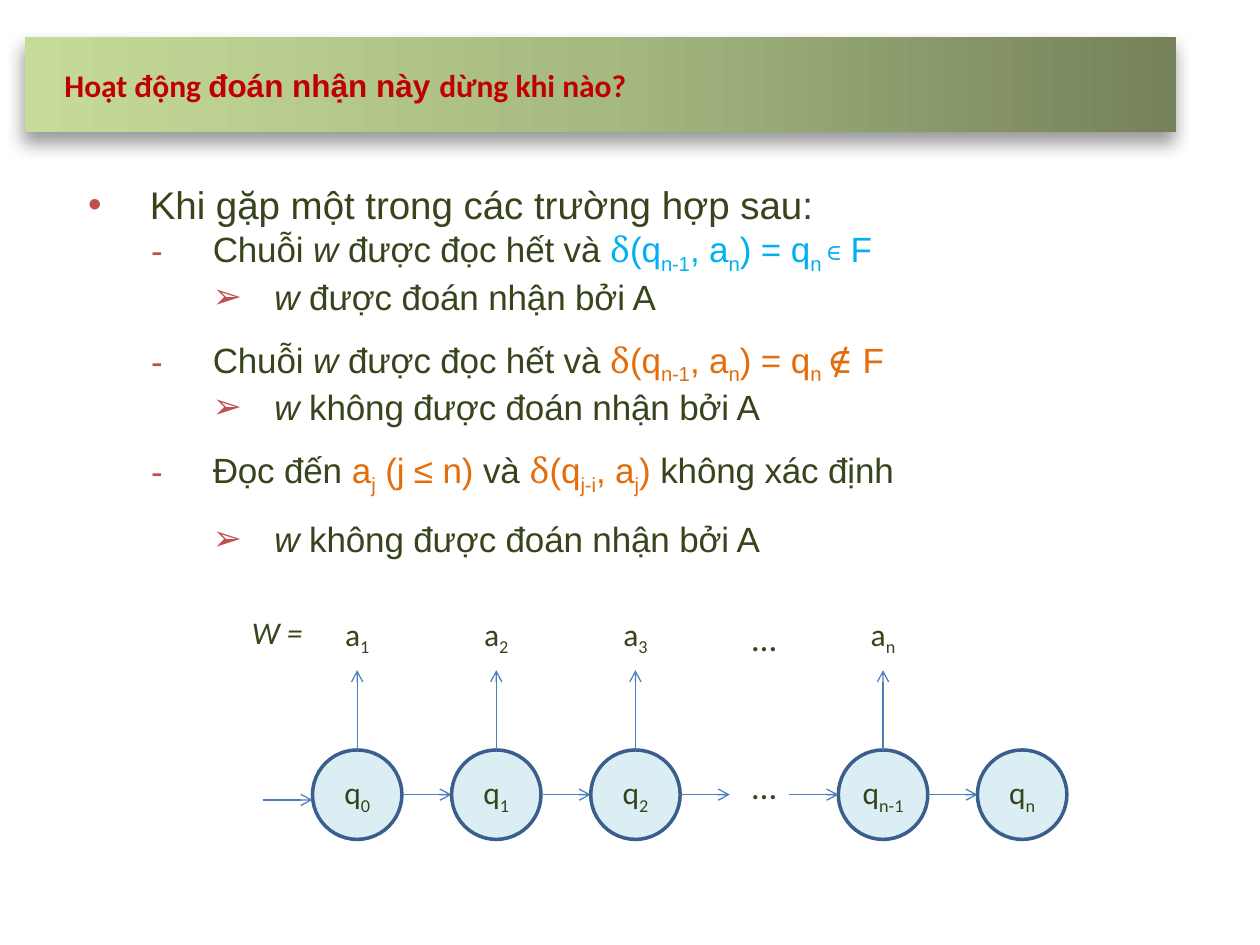
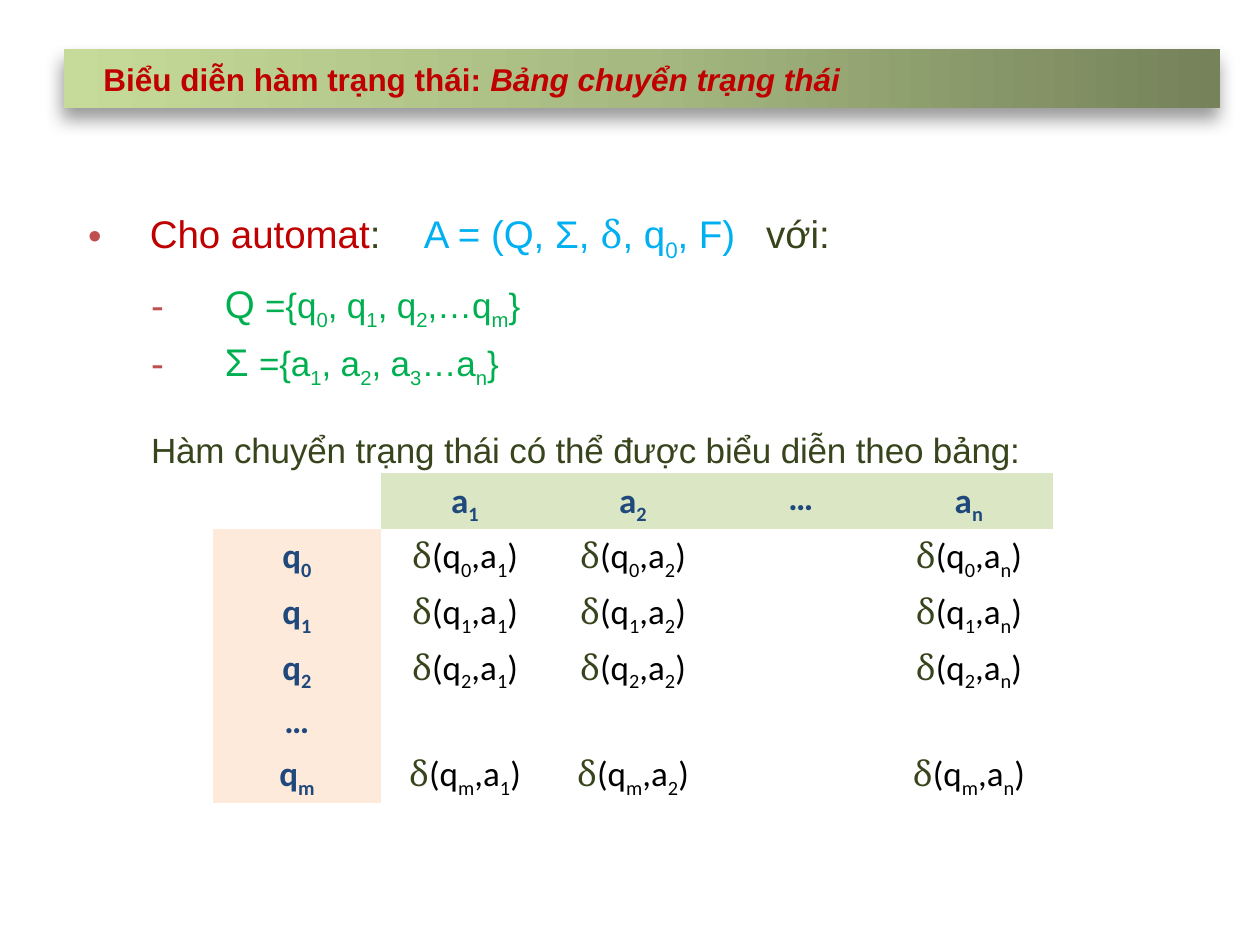
"""Two slides on how a finite automaton accepts a string and how its transition table looks."""
from itertools import groupby

from lxml import etree
from pptx import Presentation
from pptx import util as u
from pptx.dml.color import RGBColor
from pptx.enum import shapes, text
from pptx.oxml import ns

Pt = u.Pt
RED = RGBColor(0xC0, 0x00, 0x00)
OLIVE = RGBColor(0x37, 0x44, 0x1C)
SKY = RGBColor(0x00, 0xB0, 0xF0)
ORANGE = RGBColor(0xE4, 0x6C, 0x0A)
GREEN = RGBColor(0x00, 0xB0, 0x50)
NAVY = RGBColor(0x1F, 0x49, 0x7D)
BLACK = RGBColor(0x00, 0x00, 0x00)
BULLET = RGBColor(0xC0, 0x50, 0x4D)
STATE_FILL = RGBColor(0xDB, 0xEE, 0xF4)
STATE_EDGE = RGBColor(0x3A, 0x5F, 0x8C)
ARROW = RGBColor(0x4B, 0x7E, 0xBC)
HEAD_FILL = RGBColor(0xDB, 0xE6, 0xC4)
SIDE_FILL = RGBColor(0xFD, 0xEA, 0xDA)
BAND_STOPS = [(0, "C6DB99"), (50, "A6B981"), (100, "75825A")]

SYMBOLS = "δ∊∉"
NO_STYLE = "{2D5ABB26-0587-4C30-8999-92F81FD0307C}"
LARGE = {"size": Pt(22)}
CALIBRI = {"name": "Calibri"}

# ~ switches subscript and * switches italics on and off
LEVELS = {
    "point": dict(bullet="•", left=41.8, indent=-35.3, size=22),
    "case": dict(bullet="-", left=77.8, indent=-35.3, size=20, spacing=-10),
    "result": dict(bullet="➢", left=113, indent=-35.3, size=20, spacing=-10),
    "set": dict(bullet="-", left=84.7, indent=-42.2, size=20, spacing=-10),
    "plain": dict(bullet=None, left=77.8, indent=-35.3, size=20, spacing=-10),
}

STOP_TITLE = [("Hoạt động ", RED, CALIBRI), ("đoán nhận này ", RED), ("dừng khi nào?", RED, CALIBRI)]
STOP_CASES = [
    ("point", 0, 0, [("Khi gặp một trong các trường hợp sau:", OLIVE)]),
    ("case", 0, 0, [("Chuỗi *w *được đọc hết và ", OLIVE), ("δ(q~n-1~, a~n~) = q~n ~∊ F", SKY)]),
    ("result", 0, 0, [("*w *được đoán nhận bởi A", OLIVE)]),
    ("case", 12, 0, [("Chuỗi *w *được đọc hết và ", OLIVE), ("δ(q~n-1~, a~n~) = q~n ~∉ F", ORANGE)]),
    ("result", 0, 0, [("*w *không được đoán nhận bởi A", OLIVE)]),
    ("case", 12, 0, [("Đọc đến ", OLIVE), ("a~j~ (j ≤ n) ", ORANGE), ("và ", OLIVE),
                     ("δ(q~j-i~, a~j~) ", ORANGE), ("không xác định", OLIVE)]),
    ("result", 12, 0, [("*w *không được đoán nhận bởi A", OLIVE)]),
]
CHAIN = [("q~0~", "a~1~", 204.1), ("q~1~", "a~2~", 283.6), ("q~2~", "a~3~", 363.1),
         ("q~n-1~", "a~n~", 504.6), ("q~n~", None, 584.1)]
CHAIN_GAP_X = 436.7

TABLE_TITLE = [("Biểu diễn hàm trạng thái: *Bảng chuyển trạng thái", RED)]
TABLE_INTRO = [
    ("point", 0, 10, [("Cho automat", RED), (":\t", OLIVE), ("A = (Q, Σ, δ, q~0~, F)\t", SKY),
                      ("với:", OLIVE)]),
    ("set", 0, 4, [("Q ", GREEN, LARGE), ("={q~0~, q~1~, q~2~,…q~m~}", GREEN)]),
    ("set", 0, 4, [("Σ ", GREEN, LARGE), ("={a~1~, a~2~, a~3~…a~n~}", GREEN)]),
    ("plain", 18, 0, [("Hàm chuyển trạng thái có thể được biểu diễn theo bảng:", OLIVE)]),
]
INTRO_TABS = [198.4, 394]
LETTERS = ["a~1~", "a~2~", "…", "a~n~"]
STATES = ["q~0~", "q~1~", "q~2~", "…", "q~m~"]


def pieces(markup):
    """Yield text with its subscript, italic and symbol flags."""
    subscript = italic = False
    marked = []
    for char in markup:
        if char == "~":
            subscript = not subscript
        elif char == "*":
            italic = not italic
        else:
            marked.append((char, (subscript, italic, char in SYMBOLS)))
    for flags, group in groupby(marked, key=lambda pair: pair[1]):
        yield "".join(char for char, _ in group), flags


def write(paragraph, runs, size, font="Arial", bold=False, spacing=0):
    """Write marked-up coloured runs into a paragraph."""
    for markup, color, *changes in runs:
        for words, (subscript, italic, symbol) in pieces(markup):
            run = paragraph.add_run()
            run.text = words
            run.font.name, run.font.size = font, Pt(size)
            run.font.bold, run.font.italic = bold, italic
            run.font.color.rgb = color
            for name, value in (changes[0] if changes else {}).items():
                setattr(run.font, name, value)
            if symbol:
                run.font.name = "Cambria"
            elif spacing:
                run.font._element.set("spc", str(spacing))
            if subscript:
                run.font._element.set("baseline", "-25000")


def add_xml(parent, tag, **attributes):
    """Append a drawing element and return it."""
    return etree.SubElement(parent, ns.qn("a:" + tag), {k: str(v) for k, v in attributes.items()})


def indent(paragraph, left, first):
    """Set the left margin and first-line indent of a paragraph."""
    properties = paragraph._p.get_or_add_pPr()
    properties.set("marL", str(Pt(left)))
    properties.set("indent", str(Pt(first)))
    return properties


def add_title(slide, runs, left, top, width, height):
    """Turn the title placeholder into the shaded gradient band."""
    title = slide.shapes.title
    title.left, title.top, title.width, title.height = map(Pt, (left, top, width, height))
    fill = add_xml(title._element.spPr, "gradFill", rotWithShape=1)
    stops = add_xml(fill, "gsLst")
    for position, color in BAND_STOPS:
        add_xml(add_xml(stops, "gs", pos=position * 1000), "srgbClr", val=color)
    add_xml(fill, "lin", ang=0, scaled=0)
    effects = add_xml(title._element.spPr, "effectLst")
    shadow = add_xml(effects, "outerShdw", blurRad=Pt(10), dist=Pt(6), dir=100 * 60000,
                     algn="tl", rotWithShape=0)
    add_xml(add_xml(shadow, "srgbClr", val="000000"), "alpha", val=40000)
    frame = title.text_frame
    frame.auto_size = text.MSO_AUTO_SIZE.NONE
    frame.vertical_anchor = text.MSO_ANCHOR.MIDDLE
    line = frame.paragraphs[0]
    line.alignment = text.PP_ALIGN.LEFT
    indent(line, 41.8, -26.6)
    write(line, runs, 18, bold=True)


def add_body(slide, lines, top, height, tabs=()):
    """Add the bulleted text block."""
    frame = slide.shapes.add_textbox(Pt(36.7), Pt(top), Pt(646.6), Pt(height)).text_frame
    frame.word_wrap = True
    for number, (level, before, after, runs) in enumerate(lines):
        style = LEVELS[level]
        line = frame.add_paragraph() if number else frame.paragraphs[0]
        line.space_before, line.space_after = Pt(before), Pt(after)
        properties = indent(line, style["left"], style["indent"])
        if style["bullet"]:
            add_xml(add_xml(properties, "buClr"), "srgbClr", val=BULLET)
            add_xml(properties, "buFont", typeface="Arial")
            add_xml(properties, "buChar", char=style["bullet"])
        if tabs and level == "point":
            stops = add_xml(properties, "tabLst")
            for position in tabs:
                add_xml(stops, "tab", pos=Pt(position), algn="l")
        write(line, runs, style["size"], spacing=style.get("spacing", 0))


def add_node(slide, markup, x, y, size=18, circle=False):
    """Centre a label on a point, inside a state circle if asked."""
    side = 51.1
    box = [Pt(x - side / 2), Pt(y - side / 2), Pt(side), Pt(side)]
    if circle:
        node = slide.shapes.add_shape(shapes.MSO_SHAPE.OVAL, *box)
        node.shadow.inherit = False
        node.fill.solid()
        node.fill.fore_color.rgb = STATE_FILL
        node.line.color.rgb = STATE_EDGE
        node.line.width = Pt(2)
    else:
        node = slide.shapes.add_textbox(*box)
    frame = node.text_frame
    frame.word_wrap = True
    frame.margin_left = frame.margin_right = 0
    frame.vertical_anchor = text.MSO_ANCHOR.MIDDLE
    label = frame.paragraphs[0]
    label.alignment = text.PP_ALIGN.CENTER
    label.line_spacing = 0.8
    write(label, [(markup, OLIVE)], size, "Calibri")


def add_arrow(slide, *ends):
    """Draw a thin arrow between two points."""
    arrow = slide.shapes.add_connector(shapes.MSO_CONNECTOR.STRAIGHT, *map(Pt, ends))
    arrow.line.color.rgb = ARROW
    arrow.line.width = Pt(0.75)
    add_xml(arrow.line._get_or_add_ln(), "tailEnd", type="arrow")
    add_xml(arrow._element.spPr, "effectLst")


def add_chain(slide):
    """Draw the states, the letters they read and the moves between them."""
    letter_y, state_y, radius, reach = 363.3, 454.1, 25.55, 28.4
    for number, (state, letter, x) in enumerate(CHAIN):
        add_node(slide, state, x, state_y, circle=True)
        if letter:
            add_node(slide, letter, x, letter_y)
            add_arrow(slide, x, state_y - radius, x, 383)
            add_arrow(slide, x + radius, state_y, x + radius + reach, state_y)
        if number in (0, 3):
            y = state_y if number else state_y + 3
            add_arrow(slide, x - radius - reach, y, x - radius, y)
    add_node(slide, "*W =", 158.4, letter_y)
    for y in (letter_y + 3, state_y - 3):
        add_node(slide, "…", CHAIN_GAP_X, y, size=20)


def transition(state, letter):
    """Return the runs of one table entry."""
    if "…" in (state, letter):
        return []
    return [("δ", OLIVE), (f"({state},{letter})", BLACK)]


def add_transitions(slide):
    """Add the table of states against letters."""
    rows = [[[]] + [[(letter, NAVY)] for letter in LETTERS]]
    rows += [[[(state, NAVY)]] + [transition(state, letter) for letter in LETTERS] for state in STATES]
    frame = slide.shapes.add_table(len(rows), len(rows[0]), Pt(121.7), Pt(270.5),
                                   Pt(480), Pt(29.2 * len(rows)))
    table = frame.table
    table.first_row = table.horz_banding = False
    table._tbl.tblPr.find(ns.qn("a:tableStyleId")).text = NO_STYLE
    for r, row in enumerate(rows):
        for c, runs in enumerate(row):
            cell = table.cell(r, c)
            heading = (r == 0) != (c == 0)
            if heading:
                cell.fill.solid()
                cell.fill.fore_color.rgb = HEAD_FILL if r == 0 else SIDE_FILL
            else:
                cell.fill.background()
            line = cell.text_frame.paragraphs[0]
            line.alignment = text.PP_ALIGN.CENTER
            line.line_spacing = 0.9
            write(line, runs, 20, "Calibri", bold=heading)


def main():
    """Build and save the slides."""
    deck = Presentation()
    deck.slide_width, deck.slide_height = Pt(720), Pt(540)
    title_only = deck.slide_layouts[5]

    stopping = deck.slides.add_slide(title_only)
    add_body(stopping, STOP_CASES, 100, 357)
    add_title(stopping, STOP_TITLE, 14.4, 20.9, 657.4, 54.7)
    add_chain(stopping)

    tabular = deck.slides.add_slide(title_only)
    add_body(tabular, TABLE_INTRO, 116.6, 385, INTRO_TABS)
    add_transitions(tabular)
    add_title(tabular, TABLE_TITLE, 36.7, 28.1, 660.2, 33.8)

    deck.save("out.pptx")


if __name__ == "__main__":
    main()
